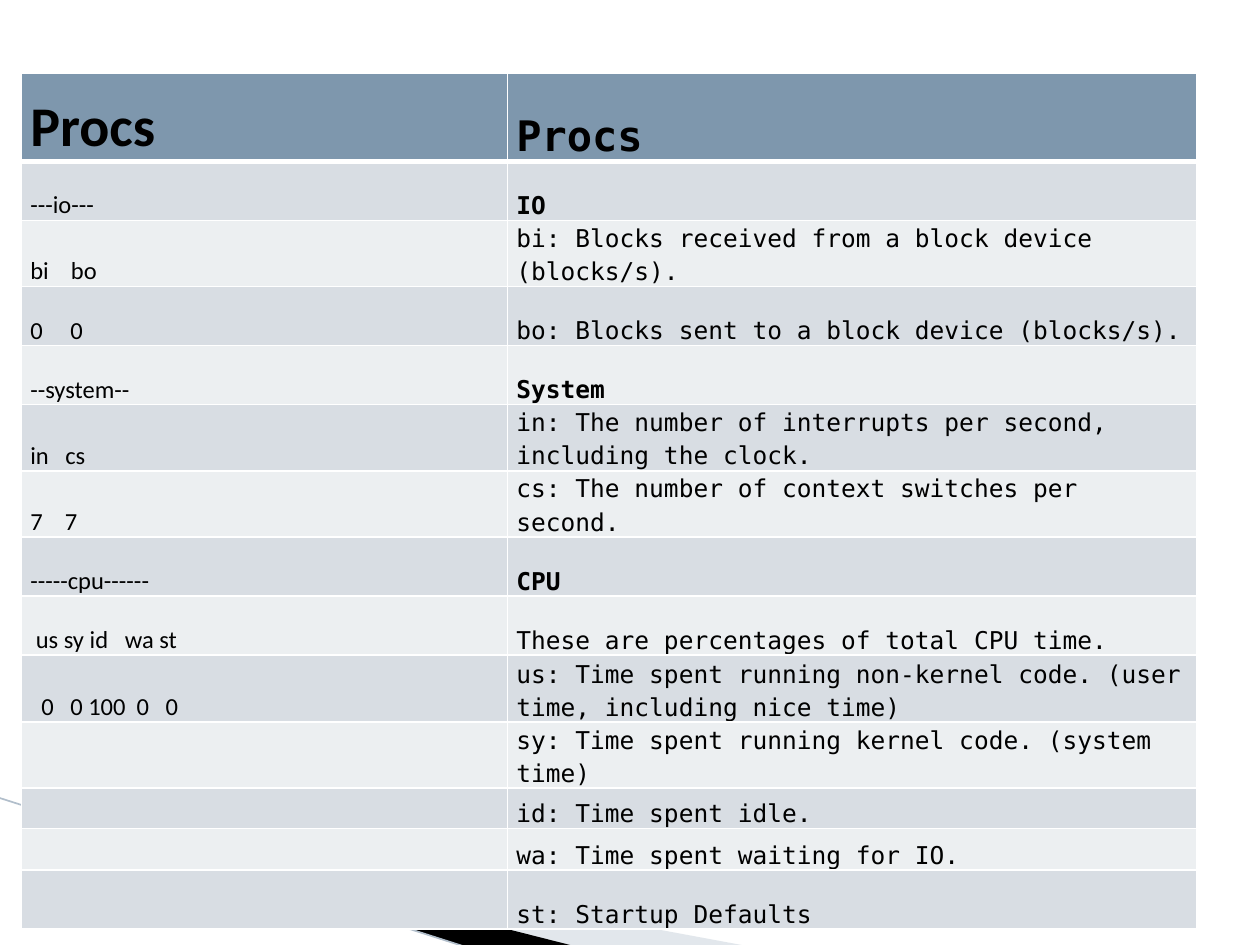
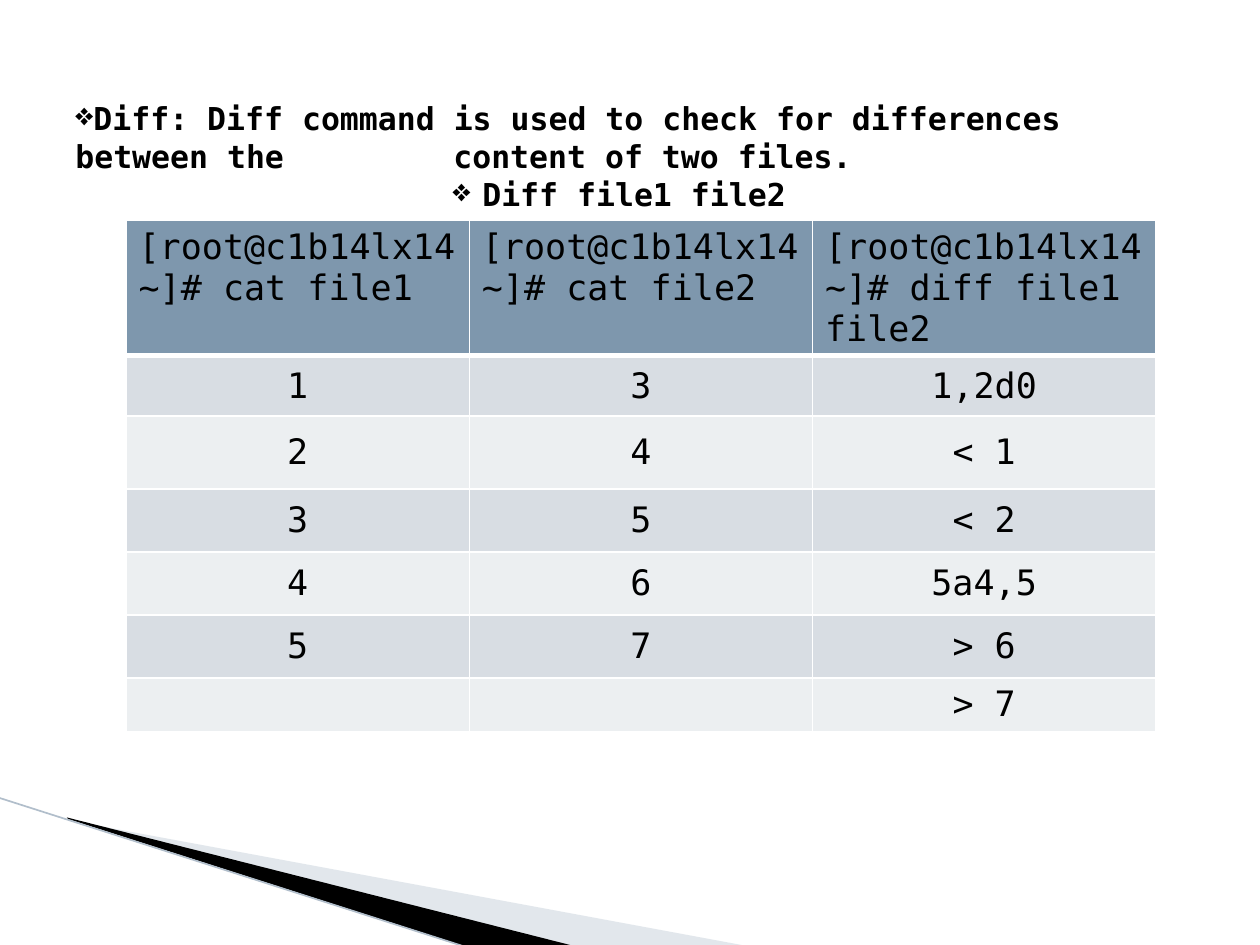
from lxml import etree
from pptx import Presentation
from pptx.dml.color import RGBColor
from pptx.enum import shapes, text
from pptx.oxml import ns
from pptx.util import Cm, Pt

SANS, MONO = "Calibri", "DejaVu Sans Mono"
INK, WHITE, HEAD = "000000", "FFFFFF", "7E97AD"
BANDS = ["D8DDE3", "ECEFF1"]
MIST, RULE = "B7C4D0", "B1BECB"

PROCS = [
    ("Procs", "Procs"),
    ("---io---", "IO"),
    ("bi    bo", "bi: Blocks received from a block device (blocks/s)."),
    ("0     0", "bo: Blocks sent to a block device (blocks/s)."),
    ("--system--", "System"),
    ("in   cs", "in: The number of interrupts per second, including the clock."),
    ("7    7", "cs: The number of context switches per second."),
    ("-----cpu------", "CPU"),
    (" us sy id   wa st", "These are percentages of total CPU time."),
    ("  0   0 100  0   0", "us: Time spent running non-kernel code. "
                           "(user time, including nice time)"),
    ("", "sy: Time spent running kernel code. (system time)"),
    ("", "id: Time spent idle."),
    ("", "wa: Time spent waiting for IO."),
    ("", "st: Startup Defaults"),
]
TOPICS = {"IO", "System", "CPU"}

DIFF = [
    ("[root@c1b14lx14 ~]# cat file1", "[root@c1b14lx14 ~]# cat file2",
     "[root@c1b14lx14 ~]# diff file1 file2"),
    ("1", "3", "1,2d0"),
    ("2", "4", "< 1"),
    ("3", "5", "< 2"),
    ("4", "6", "5a4,5"),
    ("5", "7", "> 6"),
    ("", "", "> 7"),
]
USAGE = [
    ("Diff: Diff command is used to check for differences between the "
     "\t\t\tcontent of two files.", text.PP_ALIGN.LEFT),
    ("Diff file1 file2", text.PP_ALIGN.CENTER),
]


def paint(color, value):
    color.rgb = RGBColor.from_string(value)


def add(parent, tag, **attrs):
    return etree.SubElement(parent, ns.qn(tag), attrs)


def style(para, face, size, bold=False):
    for run in para.runs:
        run.font.name, run.font.size, run.font.bold = face, Pt(size), bold
        paint(run.font.color, INK)


def wedge(slide, box, points, fill):
    left, top = box
    spots = [(Cm(left + x), Cm(top + y)) for x, y in points]
    maker = slide.shapes.build_freeform(*spots[0])
    maker.add_line_segments(spots[1:], close=True)
    shape = maker.convert_to_shape()
    shape.shadow.inherit = False
    shape.fill.solid()
    paint(shape.fill.fore_color, fill)
    shape.line.fill.background()
    return shape


def swoosh(slide, box):
    left, top = box
    mist = wedge(slide, box, [(1.4, 0.46), (15.11, 3), (11.58, 3), (1.4, 0.43)], MIST)
    tint = mist.fill._xPr.find(".//" + ns.qn("a:srgbClr"))
    add(tint, "a:alpha", val="40000")
    wedge(slide, box, [(1.35, 0.4), (11.61, 3), (9.45, 3.02), (1.37, 0.43)], INK)
    rule = slide.shapes.add_connector(
        shapes.MSO_CONNECTOR.STRAIGHT,
        Cm(left - 0.03), Cm(top), Cm(left + 9.42), Cm(top + 3.02))
    paint(rule.line.color, RULE)
    rule.line.width = Pt(0.95)
    add(rule._element.spPr, "a:effectLst")


def border(cell, head):
    props = cell._tc.get_or_add_tcPr()
    for side in "LRTB":
        width = Pt(3) if head and side == "B" else Pt(1)
        line = add(props, "a:ln" + side, w=str(int(width)))
        add(add(line, "a:solidFill"), "a:srgbClr", val=WHITE)


def grid(slide, box, data, cols, rows, form):
    left, top = box
    frame = slide.shapes.add_table(
        len(rows), len(cols), Cm(left), Cm(top), Cm(sum(cols)), Cm(sum(rows)))
    table = frame.table
    for col, width in zip(table.columns, cols):
        col.width = Cm(width)
    for r, (row, height) in enumerate(zip(table.rows, rows)):
        row.height = Cm(height)
        for c, cell in enumerate(row.cells):
            cell.text = data[r][c]
            border(cell, r == 0)
            cell.fill.solid()
            paint(cell.fill.fore_color, BANDS[(r - 1) % 2] if r else HEAD)
            form(cell, r, c)


def stat(cell, r, c):
    cell.margin_left = cell.margin_right = Cm(0.18)
    cell.margin_top = cell.margin_bottom = 0
    cell.vertical_anchor = text.MSO_ANCHOR.BOTTOM
    para = cell.text_frame.paragraphs[0]
    para.line_spacing = 1.15
    size = 14 if r else (32, 24)[c]
    style(para, (SANS, MONO)[c], size, r == 0 or para.text in TOPICS)


def shell(cell, r, c):
    para = cell.text_frame.paragraphs[0]
    if r:
        cell.vertical_anchor = text.MSO_ANCHOR.MIDDLE
        para.alignment = text.PP_ALIGN.CENTER
    style(para, MONO, 20)


def usage(slide, box):
    area = slide.shapes.add_textbox(*map(Cm, box)).text_frame
    area.word_wrap = True
    for i, (line, align) in enumerate(USAGE):
        para = area.add_paragraph() if i else area.paragraphs[0]
        para.text = line
        para.alignment = align
        add(para._p.get_or_add_pPr(), "a:buChar", char="❖")
        style(para, MONO, 18, True)


def page(deck):
    slide = deck.slides.add_slide(deck.slide_layouts[6])
    swoosh(slide, (0, 16.08))
    return slide


def main():
    deck = Presentation()
    deck.slide_width, deck.slide_height = Cm(25.4), Cm(19.05)

    rows = [1.78] + [1.19] * 8 + [1.35, 1.19, 0.81, 0.84, 1.19]
    grid(page(deck), (0.43, 1.47), PROCS, [9.8, 13.89], rows, stat)

    slide = page(deck)
    rows = [2.41, 1.22, 1.47] + [1.27] * 3 + [0.99]
    grid(slide, (2.54, 4.45), DIFF, [6.92] * 3, rows, shell)
    usage(slide, (1.27, 1.88, 22.66, 2.57))

    deck.save("out.pptx")


if __name__ == "__main__":
    main()
